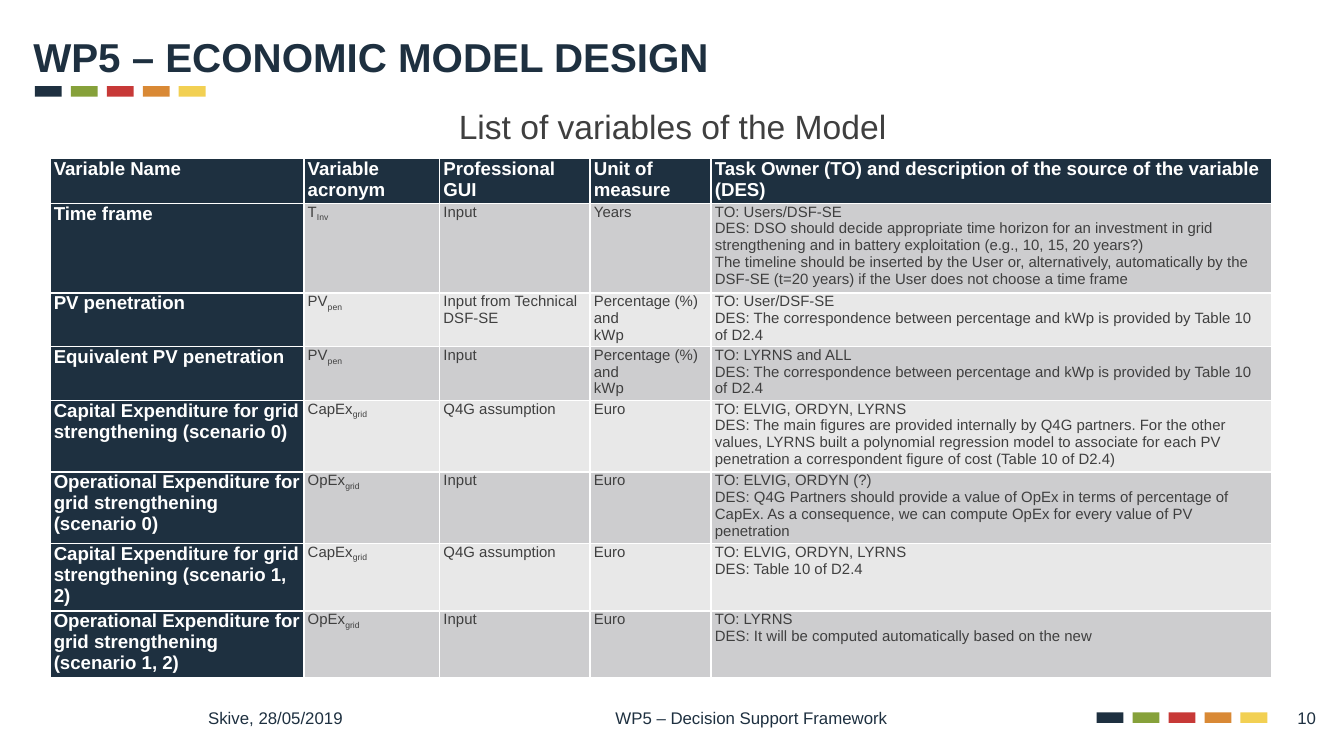
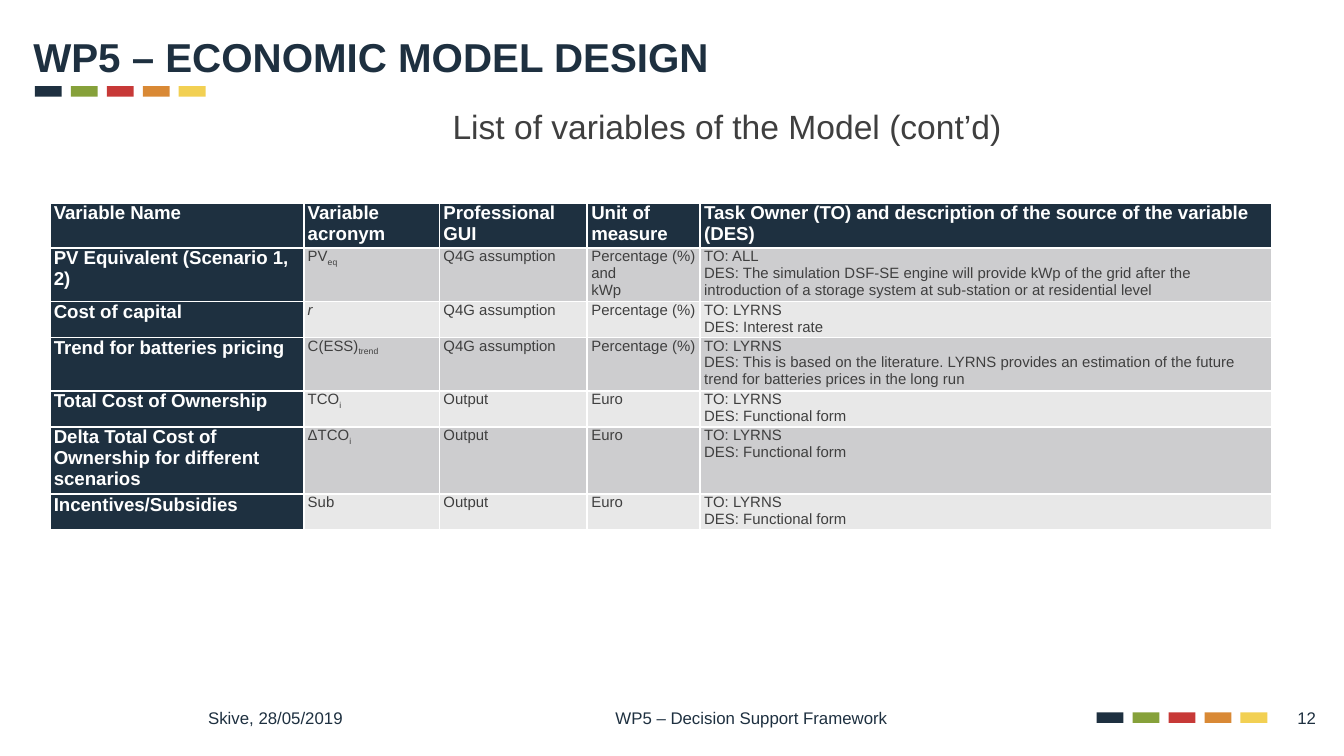
from dataclasses import dataclass

from pptx import Presentation
from pptx.dml.color import RGBColor
from pptx.enum.shapes import MSO_SHAPE as Shape
from pptx.enum.text import MSO_ANCHOR as Anchor, PP_ALIGN as Align
from pptx.util import Inches, Pt


@dataclass(frozen=True)
class Theme:
    font: str = "Arial"
    navy: str = "1E3040"
    text: str = "3F3F3F"
    white: str = "FFFFFF"
    bands: tuple = ("CDCDCF", "E8E8E8")
    stripe: tuple = ("1E3040", "86A13A", "C73937", "D98935", "F2D053")
    title_size: float = 21.6
    subtitle_size: float = 18
    head_size: float = 10
    body_size: float = 8
    footer_size: float = 9


THEME = Theme()
TITLE = "WP5 – ECONOMIC MODEL DESIGN"
FOOTER = "WP5 – Decision Support Framework"
PLACE_AND_DATE = "Skive, 28/05/2019"

HEADERS = (
    "Variable Name", "Variable acronym", "Professional GUI", "Unit of measure",
    "Task Owner (TO) and description of the source of the variable (DES)",
)
PERCENT = "Percentage (%)"
PERCENT_AND_KWP = PERCENT + "\nand\nkWp"
ASSUMPTION = "Q4G assumption"
TABLE_10 = "The correspondence between percentage and kWp is provided by Table 10 of D2.4"
FUNCTIONAL = "Functional form"
ITALIC_ACRONYMS = {"r"}

# Name, acronym (subscript after "_"), GUI, unit, task owner, description
VARIABLES = (
    ("Time frame", "T_Inv", "Input", "Years", "Users/DSF-SE",
     "DSO should decide appropriate time horizon for an investment in grid "
     "strengthening and in battery exploitation (e.g., 10, 15, 20 years?)\n"
     "The timeline should be inserted by the User or, alternatively, automatically "
     "by the DSF-SE (t=20 years) if the User does not choose a time frame"),
    ("PV penetration", "PV_pen", "Input from Technical DSF-SE", PERCENT_AND_KWP,
     "User/DSF-SE", TABLE_10),
    ("Equivalent PV penetration", "PV_pen", "Input", PERCENT_AND_KWP,
     "LYRNS and ALL", TABLE_10),
    ("Capital Expenditure for grid strengthening (scenario 0)", "CapEx_grid",
     ASSUMPTION, "Euro", "ELVIG, ORDYN, LYRNS",
     "The main figures are provided internally by Q4G partners. For the other "
     "values, LYRNS built a polynomial regression model to associate for each PV "
     "penetration a correspondent figure of cost (Table 10 of D2.4)"),
    ("Operational Expenditure for grid strengthening (scenario 0)", "OpEx_grid",
     "Input", "Euro", "ELVIG, ORDYN (?)",
     "Q4G Partners should provide a value of OpEx in terms of percentage of CapEx. "
     "As a consequence, we can compute OpEx for every value of PV penetration"),
    ("Capital Expenditure for grid strengthening (scenario 1, 2)", "CapEx_grid",
     ASSUMPTION, "Euro", "ELVIG, ORDYN, LYRNS", "Table 10 of D2.4"),
    ("Operational Expenditure for grid strengthening (scenario 1, 2)", "OpEx_grid",
     "Input", "Euro", "LYRNS", "It will be computed automatically based on the new"),
)
MORE_VARIABLES = (
    ("PV Equivalent (Scenario 1, 2)", "PV_eq", ASSUMPTION, PERCENT_AND_KWP, "ALL",
     "The simulation DSF-SE engine will provide kWp of the grid after the "
     "introduction of a storage system at sub-station or at residential level"),
    ("Cost of capital", "r", ASSUMPTION, PERCENT, "LYRNS", "Interest rate"),
    ("Trend for batteries pricing", "C(ESS)_trend", ASSUMPTION, PERCENT, "LYRNS",
     "This is based on the literature. LYRNS provides an estimation of the future "
     "trend for batteries prices in the long run"),
    ("Total Cost of Ownership", "TCO_i", "Output", "Euro", "LYRNS", FUNCTIONAL),
    ("Delta Total Cost of Ownership for different scenarios", "ΔTCO_i", "Output",
     "Euro", "LYRNS", FUNCTIONAL),
    ("Incentives/Subsidies", "Sub", "Output", "Euro", "LYRNS", FUNCTIONAL),
)


def format_span(span, size, color, bold=False):
    span.font.name = THEME.font
    span.font.size = Pt(size)
    span.font.bold = bold
    span.font.color.rgb = RGBColor.from_string(color)


def add_text(page, text, left, top, width, height, size, color,
             bold=False, align=Align.LEFT, anchor=Anchor.MIDDLE):
    box = page.shapes.add_textbox(Inches(left), Inches(top), Inches(width), Inches(height))
    frame = box.text_frame
    frame.text = text
    frame.word_wrap = True
    frame.vertical_anchor = anchor
    para = frame.paragraphs[0]
    para.alignment = align
    format_span(para.runs[0], size, color, bold)


def add_stripe(shapes, left, top):
    """Five small colour bars, evenly spaced."""
    pitch = 1.07 / (len(THEME.stripe) - 1)
    for index, color in enumerate(THEME.stripe):
        bar = shapes.add_shape(Shape.RECTANGLE, Inches(left + index * pitch), Inches(top),
                               Inches(0.2), Inches(0.08))
        bar.shadow.inherit = False
        bar.fill.solid()
        bar.fill.fore_color.rgb = RGBColor.from_string(color)
        bar.line.fill.background()


def add_frame(page, number):
    """Title, colour stripes and footer shared by every page."""
    add_stripe(page.shapes, 0.26, 0.64)
    add_stripe(page.shapes.add_group_shape().shapes, 8.16, 5.3)
    add_text(page, TITLE, 0.15, 0.23, 9.74, 0.38, THEME.title_size, THEME.navy, bold=True)
    for text, left, width, align in (
        (str(number), 8.07, 1.82, Align.RIGHT),
        (PLACE_AND_DATE, 1.45, 1.69, Align.LEFT),
        (FOOTER, 3.17, 4.84, Align.CENTER),
    ):
        add_text(page, text, left, 5.19, width, 0.3, THEME.footer_size, THEME.navy, align=align)


def fill_cell(cell, text, row, column):
    is_head = row == 0 or column == 0
    cell.margin_left, cell.margin_right = Inches(0.03), Inches(0.02)
    cell.margin_top = cell.margin_bottom = 0
    cell.fill.solid()
    cell.fill.fore_color.rgb = RGBColor.from_string(
        THEME.navy if is_head else THEME.bands[(row - 1) % 2])

    base, _, subscript = text.partition("_")
    cell.text_frame.text = base
    if subscript:
        span = cell.text_frame.paragraphs[0].add_run()
        span.text = subscript
        span._r.get_or_add_rPr().set("baseline", "-25000")
    for para in cell.text_frame.paragraphs:
        for span in para.runs:
            if is_head:
                format_span(span, THEME.head_size, THEME.white, bold=True)
            else:
                format_span(span, THEME.body_size, THEME.text)
            if text in ITALIC_ACRONYMS:
                span.font.italic = True


def add_variable_table(page, variables, top, height, widths, row_heights):
    """The default table style supplies the white rules between the cells."""
    rows = [HEADERS]
    for *fields, owner, description in variables:
        rows.append((*fields, f"TO: {owner}\nDES: {description}"))
    frame = page.shapes.add_table(len(rows), len(HEADERS), Inches(0.37), Inches(top),
                                  Inches(sum(widths)), Inches(height))
    table = frame.table
    table.first_col = True
    for column, width in zip(table.columns, widths):
        column.width = Inches(width)
    for line, row_height in zip(table.rows, row_heights):
        line.height = Inches(row_height)
    frame.height = Inches(height)
    for row, texts in enumerate(rows):
        for column, text in enumerate(texts):
            fill_cell(table.cell(row, column), text, row, column)


def add_variable_page(deck, number, subtitle, subtitle_width, **table):
    page = deck.slides.add_slide(deck.slide_layouts[6])
    add_frame(page, number)
    add_variable_table(page, **table)
    add_text(page, subtitle, 3.26, 0.74, subtitle_width, 0.4, THEME.subtitle_size,
             THEME.text, align=Align.CENTER, anchor=Anchor.TOP)


def main():
    deck = Presentation()
    deck.slide_width = Inches(10)
    deck.slide_height = deck.slide_width * 9 // 16
    add_variable_page(
        deck, 10, "List of variables of the Model", 3.49,
        variables=VARIABLES, top=1.18, height=3.87,
        widths=(1.89, 1.01, 1.12, 0.9, 4.17),
        row_heights=(0.31, 0.4, 0.18, 0.18, 0.3, 0.25, 0.15, 0.15))
    add_variable_page(
        deck, 12, "List of variables of the Model (cont’d)", 4.3,
        variables=MORE_VARIABLES, top=1.51, height=2.43,
        widths=(1.89, 1.01, 1.1, 0.84, 4.25),
        row_heights=(0.19, 0.25, 0.12, 0.2, 0.12, 0.15, 0.12))
    deck.save("out.pptx")


if __name__ == "__main__":
    main()
